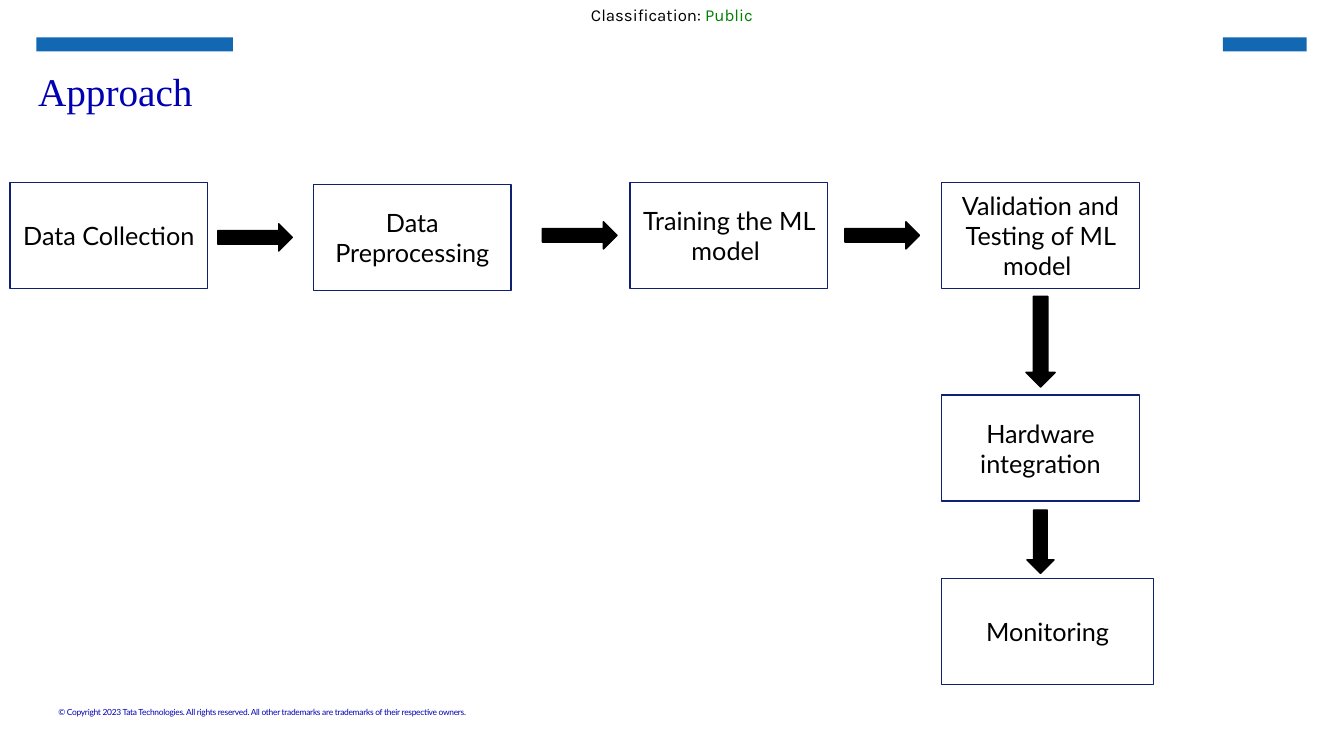
from pptx import Presentation
from pptx.dml.color import RGBColor
from pptx.enum.shapes import MSO_SHAPE
from pptx.enum.text import MSO_ANCHOR, PP_ALIGN
from pptx.util import Inches, Pt

# Content
TITLE = "Approach"
LABEL = [("Classification: ", "black"), ("Public", "green")]
RIGHTS = ("© Copyright 2023 Tata Technologies. All rights reserved. "
          "All other trademarks are trademarks of their respective owners.")
# Steps: left, top, width, paragraphs
STEPS = [
    (0.1, 1.81, 1.96, ["Data Collection"]),
    (3.11, 1.83, 1.96, ["Data", "Preprocessing"]),
    (6.25, 1.81, 1.96, ["Training the ML model "]),
    (9.34, 1.81, 1.96, ["Validation and Testing of ML model "]),
    (9.34, 3.92, 1.96, ["Hardware integration"]),
    (9.34, 5.74, 2.1, ["Monitoring"]),
]
STEP_H = 1.05
# Right arrows: left, top
RIGHT = [(2.16, 2.22), (5.38, 2.2), (8.38, 2.2)]
RIGHT_W, RIGHT_H = 0.74, 0.27
# Down arrows: top, width, height
DOWN = [(2.94, 0.29, 0.9), (5.06, 0.27, 0.63)]
# Plain bars in the header: left, top, width, height
BARS = [(0.36, 0.37, 1.95, 0.14), (12.13, 0.37, 0.83, 0.14)]

THEME = {
    "black": "000000", "white": "FFFFFF", "green": "008000",
    "blue": "0000B3", "navy": "0F1F71", "bar": "1268B3",
    "title": {"name": "Times New Roman", "size": Pt(28)},
    "step": {"name": "Lato", "size": Pt(18)},
    "label": {"name": "Karla", "size": Pt(12)},
    "rights": {"name": "Lato", "size": Pt(6)},
}

deck = Presentation()
deck.slide_width, deck.slide_height = Inches(13.33), Inches(7.5)
slide = deck.slides.add_slide(deck.slide_layouts[6])


def color(key):
    return RGBColor.from_string(THEME[key])


def add_box(kind, box, fill, line=None):
    shape = slide.shapes.add_shape(kind, *map(Inches, box))
    shape.shadow.inherit = False
    shape.fill.solid()
    shape.fill.fore_color.rgb = color(fill)
    if line:
        shape.line.color.rgb = color(line)
        shape.line.width = Pt(1)
    else:
        shape.line.fill.background()
    return shape


def write(shape, paras, style, align=PP_ALIGN.LEFT, anchor=MSO_ANCHOR.TOP):
    frame = shape.text_frame
    frame.word_wrap = True
    frame.vertical_anchor = anchor
    for i, parts in enumerate(paras):
        para = frame.add_paragraph() if i else frame.paragraphs[0]
        para.alignment = align
        for text, tint in parts:
            run = para.add_run()
            run.text = text
            for key, value in THEME[style].items():
                setattr(run.font, key, value)
            run.font.color.rgb = color(tint)


def add_text(box, text, style):
    shape = slide.shapes.add_textbox(*map(Inches, box))
    write(shape, [[(text, "blue")]], style)
    return shape


# Header and footer
for bar in BARS:
    add_box(MSO_SHAPE.RECTANGLE, bar, "bar")
rights = add_text((0.48, 6.97, 6.67, 0.2), RIGHTS, "rights")
rights.text_frame.paragraphs[0].runs[0].font._element.set("spc", "-20")
band = add_box(MSO_SHAPE.RECTANGLE, (0, 0, 13.33, 0.3), "white")
write(band, [LABEL], "label", PP_ALIGN.CENTER)
add_text((0.28, 0.62, 12.68, 0.57), TITLE, "title")

# Steps
for left, top, width, lines in STEPS:
    step = add_box(MSO_SHAPE.RECTANGLE, (left, top, width, STEP_H), "white", "navy")
    write(step, [[(line, "black")] for line in lines], "step",
          PP_ALIGN.CENTER, MSO_ANCHOR.MIDDLE)

# Arrows; those going down are centred under the fourth step
for left, top in RIGHT:
    add_box(MSO_SHAPE.RIGHT_ARROW, (left, top, RIGHT_W, RIGHT_H), "black", "black")
mid = STEPS[3][0] + STEPS[3][2] / 2
for top, width, height in DOWN:
    add_box(MSO_SHAPE.DOWN_ARROW, (mid - width / 2, top, width, height), "black", "black")

deck.save("out.pptx")
